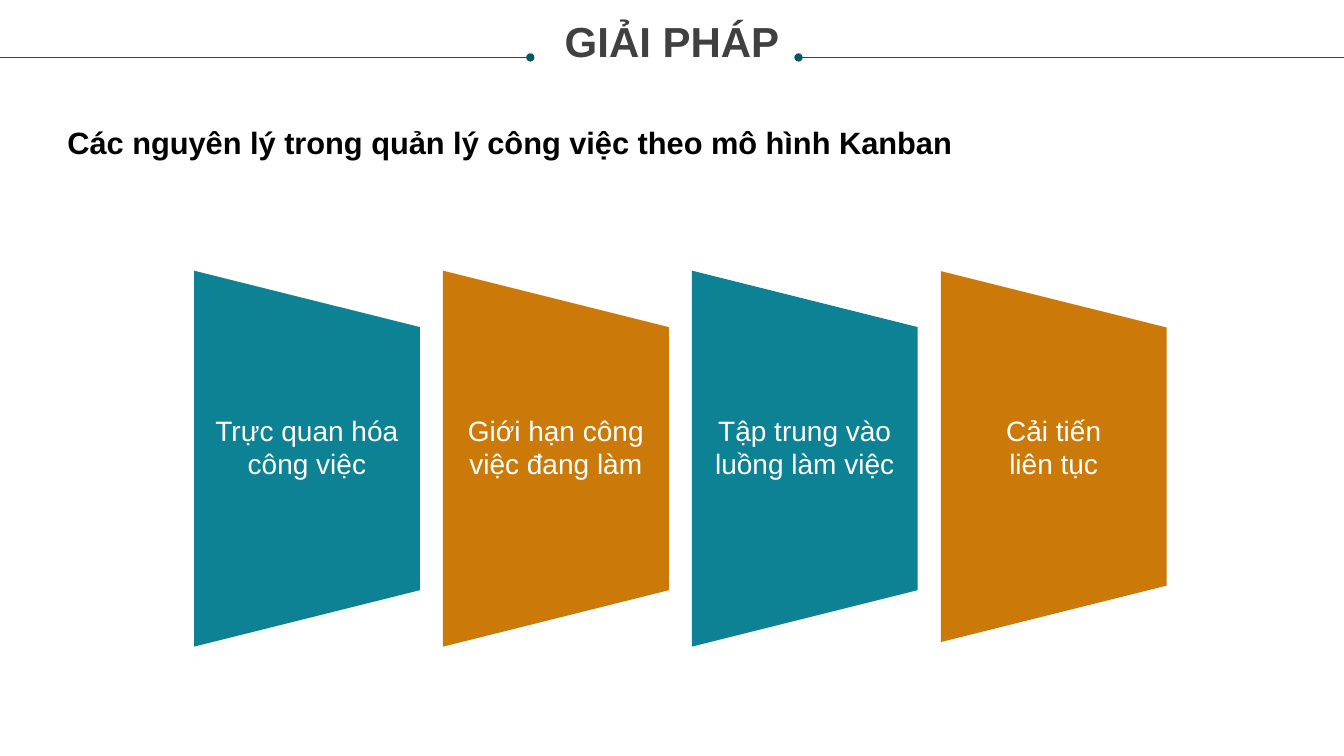
from dataclasses import dataclass

from lxml.etree import SubElement
from pptx import Presentation
from pptx.dml.color import RGBColor
from pptx.enum.shapes import MSO_CONNECTOR, MSO_SHAPE
from pptx.enum.text import MSO_ANCHOR, PP_ALIGN
from pptx.oxml.ns import qn
from pptx.slide import Slide
from pptx.util import Inches, Pt

COLORS = {
    "rule": "085764",
    "title": "404040",
    "heading": "000000",
    "teal": "0D8295",
    "orange": "CB7A09",
    "white": "FFFFFF",
}
WIDTH, HEIGHT = Inches(13.33), Inches(7.5)
FIRST_CENTER, CARD_PITCH, CARD_BREADTH = 22.84, 18.52, 16.8
RULE_ROW = 7.6


@dataclass
class Label:
    text: str
    left: float
    top: float
    width: float
    height: float
    size: int
    color: str
    bold: bool = False
    align: PP_ALIGN = PP_ALIGN.LEFT
    spacing: float = 1.0
    inset: bool = True


@dataclass
class Card:
    text: str
    color: str
    text_width: float
    length: float = 49.73
    middle: float = 60.67


@dataclass
class Rule:
    start: float
    end: float
    dot: str


RULES = [Rule(59.41, 100, "headEnd"), Rule(0, 39.46, "tailEnd")]
HEADINGS = [
    Label("GIẢI PHÁP", 1.88, 2.8, 96.25, 11.73, 30, "title", True,
          PP_ALIGN.CENTER, 0.9, False),
    Label("Các nguyên lý trong quản lý công việc theo mô hình Kanban",
          4.28, 15.73, 78.17, 6.27, 22, "heading", True),
]
CARDS = [
    Card("Trực quan hóa công việc", "teal", 15.83),
    Card("Giới hạn công việc đang làm", "orange", 14.85),
    Card("Tập trung vào luồng làm việc", "teal", 14.85),
    Card("Cải tiến liên tục", "orange", 11.7, 49.07, 60.4),
]


def col(n: float) -> int:
    return round(WIDTH * n / 100)


def row(n: float) -> int:
    return round(HEIGHT * n / 100)


def rgb(name: str) -> RGBColor:
    return RGBColor.from_string(COLORS[name])


def add_rule(s: Slide, rule: Rule) -> None:
    c = s.shapes.add_connector(MSO_CONNECTOR.STRAIGHT, col(rule.start),
                               row(RULE_ROW), col(rule.end), row(RULE_ROW))
    c.line.color.rgb = rgb("rule")
    c.line.width = Pt(0.5)
    sp_pr = c.line._get_or_add_ln().getparent()
    SubElement(c.line._get_or_add_ln(), qn("a:" + rule.dot), type="oval")
    SubElement(sp_pr, qn("a:effectLst"))


def add_label(s: Slide, label: Label) -> None:
    tf = s.shapes.add_textbox(col(label.left), row(label.top),
                              col(label.width), row(label.height)).text_frame
    frame = {"word_wrap": True, "vertical_anchor": MSO_ANCHOR.TOP}
    if not label.inset:
        sides = ("left", "top", "right", "bottom")
        frame.update({f"margin_{side}": 0 for side in sides})
    for name, value in frame.items():
        setattr(tf, name, value)
    p = tf.paragraphs[0]
    p.alignment = label.align
    p.line_spacing = label.spacing
    r = p.add_run()
    r.text = label.text
    font = {"name": "Arial", "size": Pt(label.size), "bold": label.bold}
    for name, value in font.items():
        setattr(r.font, name, value)
    r.font.color.rgb = rgb(label.color)


def add_card(s: Slide, card: Card, center: float) -> None:
    length, breadth = row(card.length), col(CARD_BREADTH)
    sp = s.shapes.add_shape(MSO_SHAPE.TRAPEZOID, col(center) - length // 2,
                            row(card.middle) - breadth // 2, length, breadth)
    sp.rotation = 90
    sp.shadow.inherit = False
    sp.fill.solid()
    sp.fill.fore_color.rgb = rgb(card.color)
    sp.line.fill.background()


def main() -> None:
    prs = Presentation()
    prs.slide_width, prs.slide_height = WIDTH, HEIGHT
    s = prs.slides.add_slide(prs.slide_layouts[6])
    for rule in RULES:
        add_rule(s, rule)
    for label in HEADINGS:
        add_label(s, label)
    for i, card in enumerate(CARDS):
        center = FIRST_CENTER + i * CARD_PITCH
        add_card(s, card, center)
        add_label(s, Label(card.text, center - card.text_width / 2, 54,
                           card.text_width, 10.27, 20, "white",
                           align=PP_ALIGN.CENTER))
    prs.save("out.pptx")


if __name__ == "__main__":
    main()
